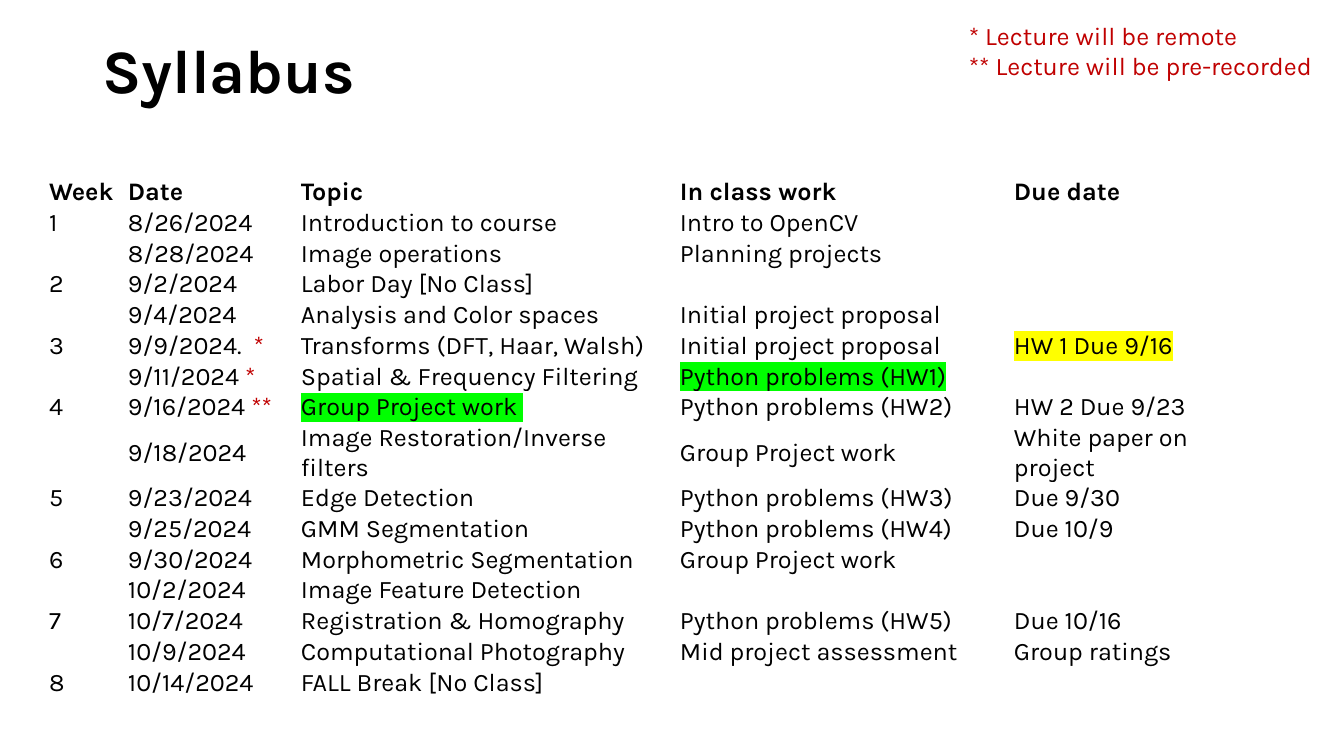
from lxml import etree
from pptx import Presentation
from pptx import util as u
from pptx.dml.color import RGBColor
from pptx.enum import text
from pptx.oxml import ns

PX = u.Inches(1) / 100.8
BLACK = RGBColor(0x00, 0x00, 0x00)
WHITE = RGBColor(0xFF, 0xFF, 0xFF)
RED = RGBColor(0xC0, 0x00, 0x00)
YELLOW = RGBColor(0xFF, 0xFF, 0x00)
GREEN = RGBColor(0x00, 0xFF, 0x00)

FONT = "Karla"
COLUMN_WIDTHS = [79, 173, 379, 334, 255]
LINE_HEIGHT, TWO_LINE_HEIGHT = 29, 60
TWO_LINE_ROW = 8
CELL_PADDING = u.Pt(0.4)
HIGHLIGHTS = {(5, 4): YELLOW, (6, 3): GREEN, (7, 2): GREEN}
SYLLABUS = [
    ("Week", "Date", "Topic", "In class work", "Due date"),
    ("1", "8/26/2024", "Introduction to course", "Intro to OpenCV", ""),
    ("", "8/28/2024", "Image operations", "Planning projects", ""),
    ("2", "9/2/2024", "Labor Day [No Class]", "", ""),
    ("", "9/4/2024", "Analysis and Color spaces", "Initial project proposal", ""),
    ("3", "9/9/2024.  *", "Transforms (DFT, Haar, Walsh)", "Initial project proposal", "HW 1 Due 9/16"),
    ("", "9/11/2024 *", "Spatial & Frequency Filtering", "Python problems (HW1)", ""),
    ("4", "9/16/2024 **", "Group Project work ", "Python problems (HW2)", "HW 2 Due 9/23"),
    ("", "9/18/2024", "Image Restoration/Inverse filters", "Group Project work", "White paper on project"),
    ("5", "9/23/2024", "Edge Detection", "Python problems (HW3)", "Due 9/30"),
    ("", "9/25/2024", "GMM Segmentation", "Python problems (HW4)", "Due 10/9"),
    ("6", "9/30/2024", "Morphometric Segmentation", "Group Project work", ""),
    ("", "10/2/2024", "Image Feature Detection", "", ""),
    ("7", "10/7/2024", "Registration & Homography", "Python problems (HW5)", "Due 10/16"),
    ("", "10/9/2024", "Computational Photography", "Mid project assessment", "Group ratings"),
    ("8", "10/14/2024", "FALL Break [No Class]", "", ""),
]


def px(length):
    return u.Emu(round(length * PX))


def add_span(para, words, size=18, bold=False, color=BLACK, highlight=None):
    span = para.add_run()
    span.text = words
    span.font.size = u.Pt(size)
    span.font.bold = bold
    span.font.color.rgb = color
    if highlight is not None:
        mark = etree.SubElement(span._r.get_or_add_rPr(), ns.qn("a:highlight"))
        etree.SubElement(mark, ns.qn("a:srgbClr"), val=str(highlight))
    span.font.name = FONT


deck = Presentation()
deck.slide_width, deck.slide_height = px(1344), px(756)
page = deck.slides.add_slide(deck.slide_layouts[5])

title = page.shapes.title
title.left, title.top, title.width, title.height = px(92), px(1), px(1159), px(146)
title.text_frame.vertical_anchor = text.MSO_ANCHOR.MIDDLE
title.text_frame.auto_size = text.MSO_AUTO_SIZE.NONE
heading = title.text_frame.paragraphs[0]
heading.alignment = text.PP_ALIGN.LEFT
heading.line_spacing = 0.9
add_span(heading, "Syllabus", size=44, bold=True)

table_height = LINE_HEIGHT * (len(SYLLABUS) - 1) + TWO_LINE_HEIGHT
table = page.shapes.add_table(
    len(SYLLABUS), len(COLUMN_WIDTHS), px(48), px(177), px(sum(COLUMN_WIDTHS)), px(table_height)
).table
table.first_row = False
table.horz_banding = False
for column, width in zip(table.columns, COLUMN_WIDTHS):
    column.width = px(width)

for row, entries in enumerate(SYLLABUS):
    table.rows[row].height = px(TWO_LINE_HEIGHT if row == TWO_LINE_ROW else LINE_HEIGHT)
    for column, entry in enumerate(entries):
        cell = table.cell(row, column)
        cell.fill.solid()
        cell.fill.fore_color.rgb = WHITE
        cell.vertical_anchor = text.MSO_ANCHOR.MIDDLE
        cell.margin_left = cell.margin_right = px(1)
        cell.margin_top = cell.margin_bottom = CELL_PADDING
        para = cell.text_frame.paragraphs[0]
        words, star, more_stars = entry.partition("*")
        if words:
            add_span(para, words, bold=row == 0, highlight=HIGHLIGHTS.get((row, column)))
        else:
            ending = etree.SubElement(para._p, ns.qn("a:endParaRPr"), sz="1800")
            etree.SubElement(ending, ns.qn("a:latin"), typeface=FONT)
        if star:
            add_span(para, star + more_stars, color=RED)

legend = page.shapes.add_textbox(px(959), px(15), px(409), px(72)).text_frame
legend.word_wrap = True
legend.auto_size = text.MSO_AUTO_SIZE.SHAPE_TO_FIT_TEXT
add_span(legend.paragraphs[0], "* Lecture will be remote", color=RED)
add_span(legend.add_paragraph(), "** Lecture will be pre-recorded", color=RED)

deck.save("out.pptx")
